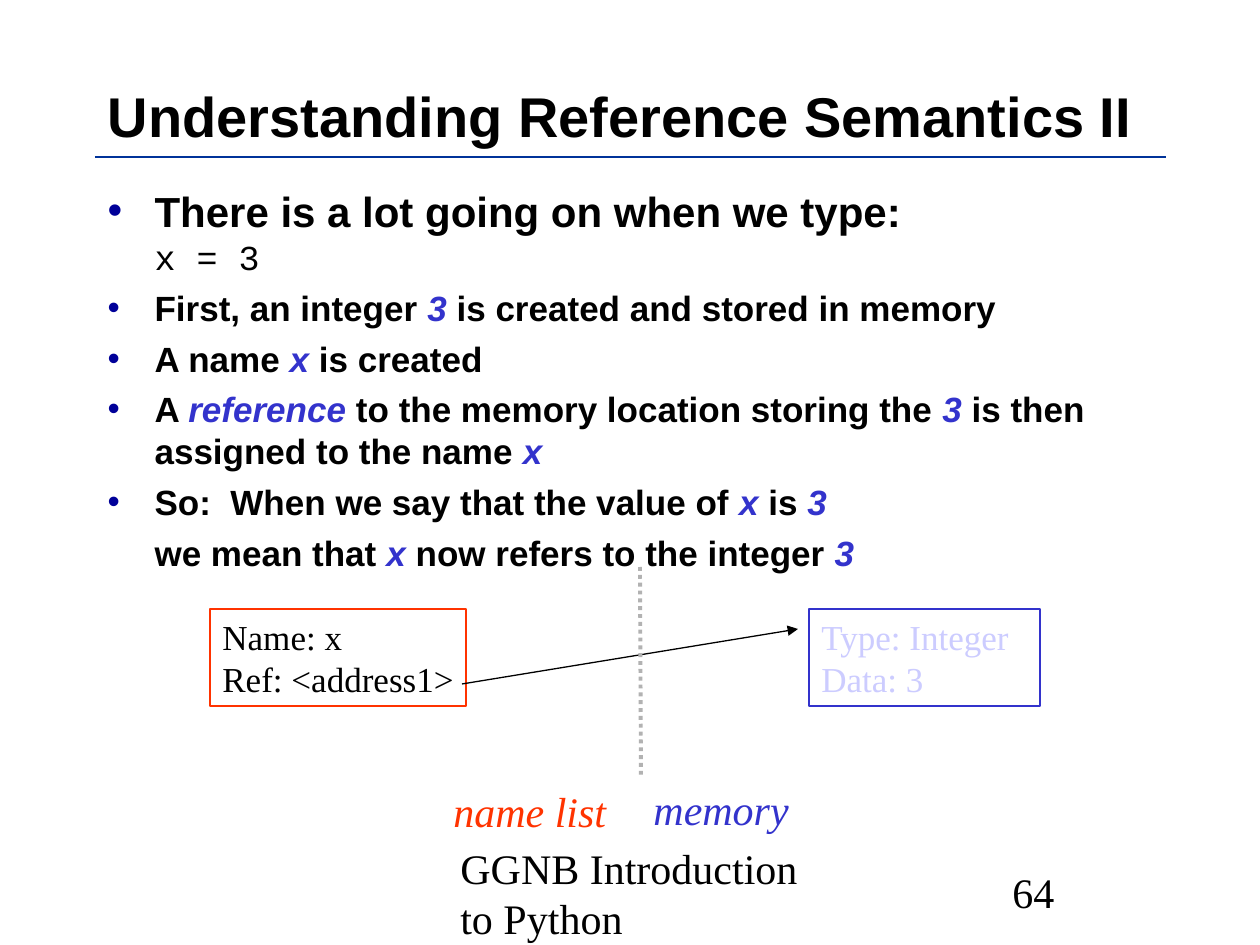
from lxml import etree
from pptx import Presentation
from pptx import util as u
from pptx.dml.color import RGBColor
from pptx.enum import dml, shapes, text
from pptx.oxml.ns import qn

SCALE = 914400 / 126
BLACK, BLUE, RED = "000000", "3333CC", "FF3300"
SERIF = "Times New Roman"


def px(length):
    return u.Emu(round(length * SCALE))


def color(value):
    return RGBColor.from_string(value)


def place(shape, left, top, width, height):
    shape.left, shape.top = px(left), px(top)
    shape.width, shape.height = px(width), px(height)


def add_run(paragraph, content, size=20, font="Arial", fill=BLACK, bold=False, italic=False):
    run = paragraph.add_run()
    run.text = content
    run.font.size, run.font.name = u.Pt(size), font
    run.font.bold, run.font.italic = bold, italic
    run.font.color.rgb = color(fill)


def set_frame(shape, anchor=text.MSO_ANCHOR.TOP, wrap=True):
    frame = shape.text_frame
    frame.auto_size = text.MSO_AUTO_SIZE.NONE
    frame.word_wrap = wrap
    frame.vertical_anchor = anchor
    return frame


def write_lines(frame, lines, **style):
    for index, line in enumerate(lines):
        paragraph = frame.add_paragraph() if index else frame.paragraphs[0]
        paragraph.alignment = text.PP_ALIGN.LEFT
        add_run(paragraph, line, **style)


def set_bullet(paragraph, bulleted):
    properties = paragraph._p.get_or_add_pPr()
    properties.set("marL", str(px(47)))
    properties.set("indent", str(px(-47) if bulleted else 0))
    if bulleted:
        bullet_color = etree.SubElement(properties, qn("a:buClr"))
        etree.SubElement(bullet_color, qn("a:srgbClr"), val="000099")
        etree.SubElement(properties, qn("a:buChar"), char="•")
    else:
        etree.SubElement(properties, qn("a:buNone"))


def add_item(frame, content, bulleted=True):
    paragraph = frame.add_paragraph()
    set_bullet(paragraph, bulleted)
    paragraph.space_before = u.Pt(5)
    for index, part in enumerate(content.split("*")):
        emphasis = index % 2 == 1
        if part:
            add_run(paragraph, part, bold=True, italic=emphasis, fill=BLUE if emphasis else BLACK)


def fill_body(body):
    place(body, 95, 179, 1071, 630)
    frame = set_frame(body)
    first = frame.paragraphs[0]
    set_bullet(first, True)
    first.space_before = u.Pt(0)
    add_run(first, "There is a lot going on when we type:", size=24, bold=True)
    first.add_line_break()
    add_run(first, "x = 3", font="Courier New")
    for item in (
        "First, an integer *3* is created and stored in memory",
        "A name *x* is created",
        "A *reference* to the memory location storing the *3* is then assigned to the name *x*",
        "So:  When we say that the value of *x* is *3*",
    ):
        add_item(frame, item)
    add_item(frame, "we mean that *x* now refers to the integer *3*", bulleted=False)


def add_box(slide, bounds, lines, outline, fill, wrap=True):
    box = slide.shapes.add_shape(shapes.MSO_SHAPE.RECTANGLE, *map(px, bounds))
    box.shadow.inherit = False
    box.fill.background()
    box.line.color.rgb = color(outline)
    box.line.width = u.Pt(0.75)
    write_lines(set_frame(box, wrap=wrap), lines, font=SERIF, fill=fill)


def add_label(slide, bounds, content, anchor=text.MSO_ANCHOR.TOP, wrap=False, **style):
    label = slide.shapes.add_textbox(*map(px, bounds))
    write_lines(set_frame(label, anchor, wrap), [content], size=24, font=SERIF, **style)


def add_line(slide, ends, stroke, width, dash=None, arrow=False):
    line = slide.shapes.add_connector(shapes.MSO_CONNECTOR.STRAIGHT, *map(px, ends))
    line.line.color.rgb = color(stroke)
    line.line.width = u.Pt(width)
    if dash:
        line.line.dash_style = dash
    if arrow:
        etree.SubElement(line.line._get_or_add_ln(), qn("a:tailEnd"), type="triangle")
    etree.SubElement(line._element.spPr, qn("a:effectLst"))


def main():
    presentation = Presentation()
    presentation.slide_width, presentation.slide_height = px(1260), px(945)
    slide = presentation.slides.add_slide(presentation.slide_layouts[1])
    title, body = slide.placeholders

    add_line(slide, (95, 157, 1166, 157), "003399", 1)
    place(title, 95, 76, 1071, 79)
    write_lines(set_frame(title, text.MSO_ANCHOR.MIDDLE),
                ["Understanding Reference Semantics II"], size=32, bold=True)
    fill_body(body)

    add_box(slide, (809, 609, 231, 97), ["Type: Integer", "Data: 3"], BLUE, "CCCCFF")
    add_box(slide, (210, 609, 256, 97), ["Name: x", "Ref: <address1>"], RED, BLACK, wrap=False)
    add_line(slide, (462, 684, 798, 629), BLACK, 0.75, arrow=True)
    add_line(slide, (640, 567, 641, 777), "B2B2B2", 2.25, dash=dml.MSO_LINE.ROUND_DOT)

    add_label(slide, (441, 779, 178, 63), "name list", fill=RED, italic=True)
    add_label(slide, (641, 777, 160, 63), "memory", fill=BLUE, italic=True)
    middle = text.MSO_ANCHOR.MIDDLE
    add_label(slide, (448, 861, 380, 63), "GGNB Introduction to Python", middle, wrap=True)
    add_label(slide, (1000, 835, 261, 113), "64", middle, wrap=True)
    presentation.save("out.pptx")


if __name__ == "__main__":
    main()
